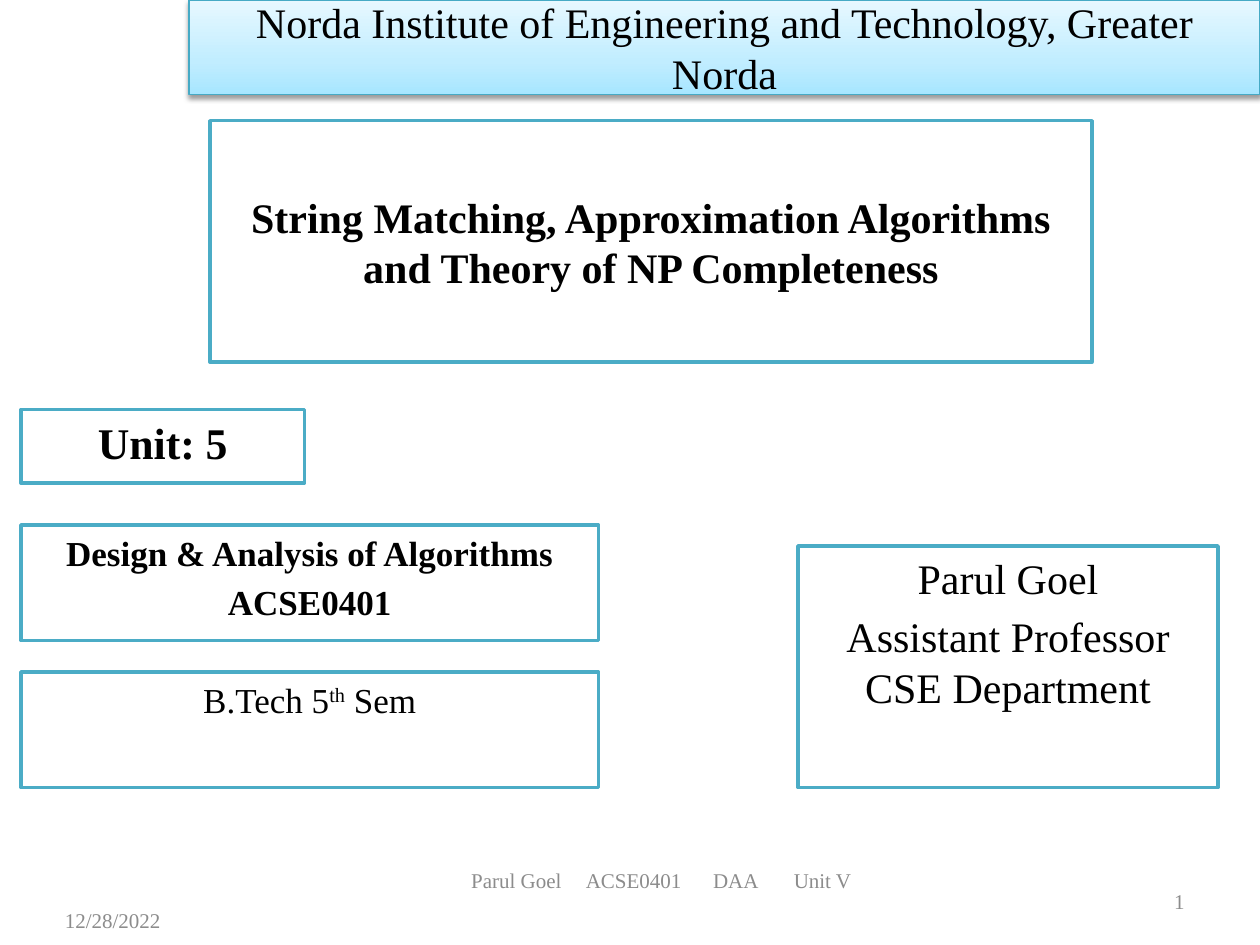
from copy import deepcopy

from lxml.etree import SubElement
from pptx import Presentation
from pptx.dml.color import RGBColor
from pptx.enum.shapes import MSO_SHAPE as Shape
from pptx.enum.text import MSO_ANCHOR as Anchor, PP_ALIGN as Align
from pptx.oxml.ns import qn
from pptx.util import Inches, Pt

BLACK = RGBColor(0x00, 0x00, 0x00)
WHITE = RGBColor(0xFF, 0xFF, 0xFF)
GRAY = RGBColor(0x8C, 0x8C, 0x8C)
TEAL = RGBColor(0x4B, 0xAC, 0xC6)
TITLE_EDGE = RGBColor(0x46, 0xAA, 0xC5)
TITLE_STOPS = [
    (0, RGBColor(0xA7, 0xE6, 0xFF)),
    (0.35, RGBColor(0xC1, 0xED, 0xFF)),
    (1, RGBColor(0xE7, 0xF8, 0xFF)),
]


class CoverPage:
    font = "Times New Roman"
    columns, rows = 120, 90

    def __init__(self, deck):
        self.page = deck.slides.add_slide(deck.slide_layouts[6])
        self.column = deck.slide_width / self.columns
        self.row = deck.slide_height / self.rows

    def place(self, left, top, width, height):
        return (int(left * self.column), int(top * self.row),
                int(width * self.column), int(height * self.row))

    def set_text(self, box, lines, size, color=BLACK, bold=False,
                 align=Align.CENTER, anchor=Anchor.TOP, before=0):
        frame = box.text_frame
        frame.word_wrap = True
        frame.vertical_anchor = anchor
        for number, line in enumerate(lines):
            para = frame.paragraphs[0] if number == 0 else frame.add_paragraph()
            para.text = line
            para.alignment = align
            para.space_before = Pt(before)
            para.font.name = self.font
            para.font.size = Pt(size)
            para.font.bold = bold
            para.font.color.rgb = color
        return frame

    def rectangle(self, area, edge, weight):
        box = self.page.shapes.add_shape(Shape.RECTANGLE, *self.place(*area))
        box.shadow.inherit = False
        box.line.color.rgb = edge
        box.line.width = Pt(weight)
        return box

    def title(self, area, text):
        box = self.rectangle(area, TITLE_EDGE, 0.75)
        box.fill.gradient()
        box.fill.gradient_angle = 90
        stop_list = box._element.spPr.find(qn("a:gradFill")).find(qn("a:gsLst"))
        stop_list.append(deepcopy(stop_list[0]))
        for stop, (position, color) in zip(box.fill.gradient_stops, TITLE_STOPS):
            stop.position = position
            stop.color.rgb = color
        effects = box._element.spPr.find(qn("a:effectLst"))
        shadow = SubElement(effects, qn("a:outerShdw"), blurRad=str(Pt(3.1)),
                            dist=str(Pt(1.6)), dir="5400000", rotWithShape="0")
        tint = SubElement(shadow, qn("a:srgbClr"), val="000000")
        SubElement(tint, qn("a:alpha"), val="38000")
        self.set_text(box, [text], 24, anchor=Anchor.MIDDLE)

    def card(self, area, lines, size, bold=False, anchor=Anchor.TOP):
        box = self.rectangle(area, TEAL, 2)
        box.fill.solid()
        box.fill.fore_color.rgb = WHITE
        return self.set_text(box, lines, size, bold=bold, anchor=anchor, before=size / 5)

    def footer(self, area, text, align=Align.LEFT, anchor=Anchor.MIDDLE):
        box = self.page.shapes.add_textbox(*self.place(*area))
        return self.set_text(box, [text], 12, GRAY, align=align, anchor=anchor)

    def tabbed_footer(self, area, parts, indent, tabs):
        frame = self.footer(area, "\t".join(parts), anchor=Anchor.TOP)
        frame.margin_left = Inches(indent)
        properties = frame.paragraphs[0]._p.get_or_add_pPr()
        tab_list = SubElement(properties, qn("a:tabLst"))
        properties.insert(properties.index(properties.find(qn("a:defRPr"))), tab_list)
        for tab in tabs:
            SubElement(tab_list, qn("a:tab"), pos=str(Inches(tab)), algn="l")


def main():
    deck = Presentation()
    deck.slide_width, deck.slide_height = Inches(10), Inches(7.5)
    cover = CoverPage(deck)

    cover.title((18, 0, 102, 9),
                "Norda Institute of Engineering and Technology, Greater Norda")
    cover.card((20, 11.5, 84, 23),
               ["String Matching, Approximation Algorithms and Theory of NP Completeness"],
               24, bold=True, anchor=Anchor.MIDDLE)
    cover.card((76, 52, 40, 23),
               ["Parul Goel", "Assistant Professor\vCSE Department"], 24)
    cover.card((2, 39, 27, 7), ["Unit: 5"], 25, bold=True)
    cover.card((2, 50, 55, 11),
               ["Design & Analysis of Algorithms", "ACSE0401"], 20, bold=True)

    semester = cover.card((2, 64, 55, 11), ["B.Tech 5"], 20).paragraphs[0]
    ordinal = semester.add_run()
    ordinal.text = "th"
    ordinal._r.get_or_add_rPr().set("baseline", "30000")
    semester.add_run().text = " Sem"

    cover.footer((5, 85.2, 28, 4.8), "12/28/2022")
    cover.footer((86, 83.4, 28, 4.8), "1", align=Align.RIGHT)
    cover.tabbed_footer((30, 82, 66, 4.8), ["Parul Goel", "ACSE0401", "DAA", "Unit V"],
                        indent=1.24, tabs=[0.91, 1.92, 2.56])
    deck.save("out.pptx")


if __name__ == "__main__":
    main()
